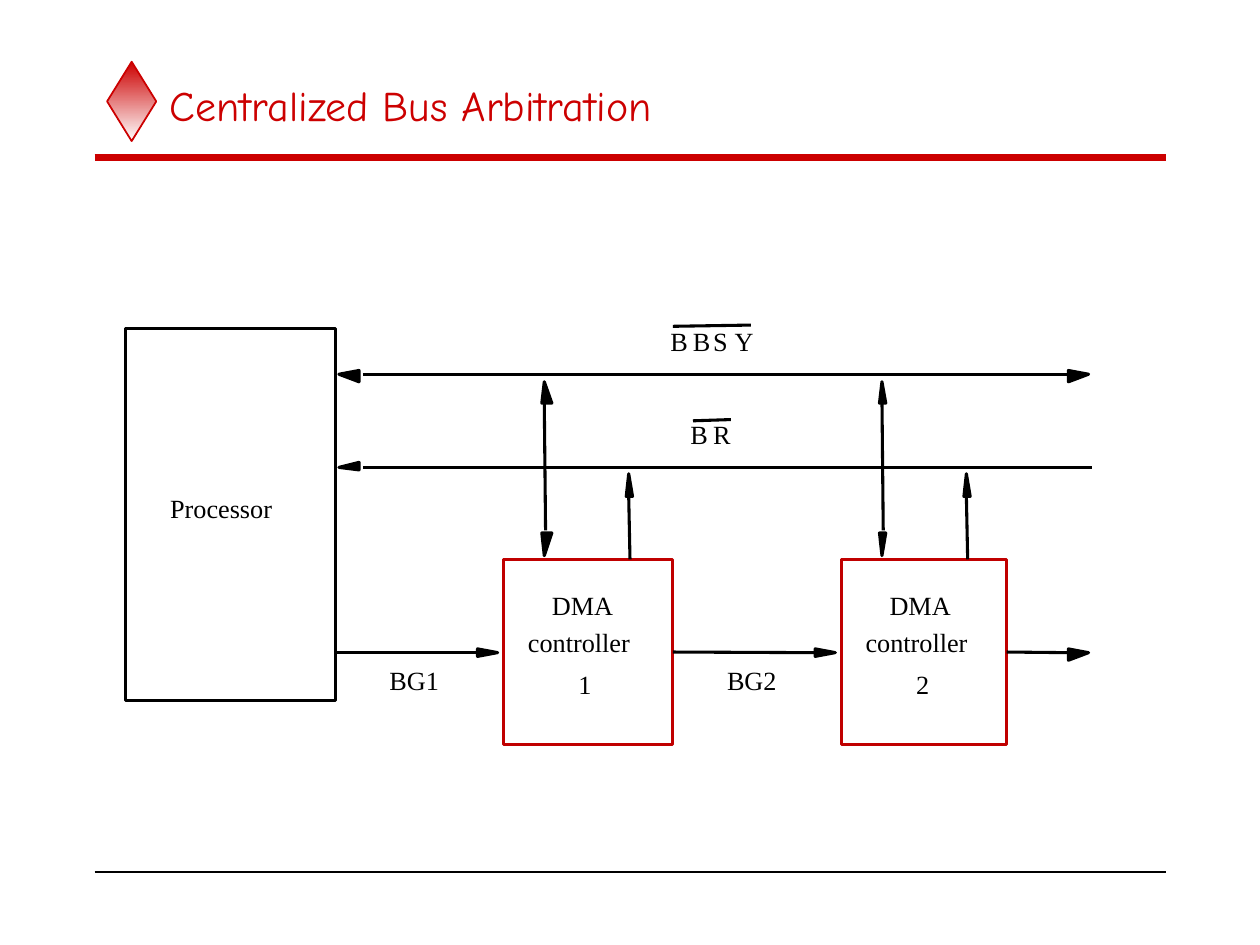
"""Build the slide on centralized bus arbitration between a processor and two DMA controllers."""
from typing import Any, NamedTuple

from lxml import etree
from pptx import Presentation
from pptx import util as u
from pptx.dml.color import RGBColor
from pptx.enum import shapes, text
from pptx.oxml.ns import qn

PX = 9144
BLACK = RGBColor(0x00, 0x00, 0x00)
WHITE = RGBColor(0xFF, 0xFF, 0xFF)
RED = RGBColor(0xCC, 0x00, 0x00)
DARK_RED = RGBColor(0xC0, 0x00, 0x00)
STROKE = 1.75
BODY_FONT = "Times New Roman"
TITLE_FONT = "Comic Neue"
CONTROLLER_STEP = 268


class Box(NamedTuple):
    left: int
    top: int
    width: int
    height: int


class Wire(NamedTuple):
    x1: int
    y1: int
    x2: int
    y2: int
    color: RGBColor = BLACK
    weight: float = STROKE


class Head(NamedTuple):
    side_a: tuple[int, int]
    tip: tuple[int, int]
    side_b: tuple[int, int]


class Label(NamedTuple):
    words: str
    box: Box


def emu(*lengths: int) -> list[int]:
    return [length * PX for length in lengths]


def apply(target: Any, values: dict[str, Any]) -> None:
    for name, value in values.items():
        setattr(target, name, value)


def stroke(line: Any, color: RGBColor, weight: float) -> None:
    line.color.rgb = color
    line.width = u.Pt(weight)


def draw_block(slide: Any, box: Box, color: RGBColor, weight: float = STROKE,
               kind: Any = shapes.MSO_SHAPE.RECTANGLE) -> Any:
    block = slide.shapes.add_shape(kind, *emu(*box))
    block.shadow.inherit = False
    block.fill.background()
    stroke(block.line, color, weight)
    return block


def draw_wire(slide: Any, wire: Wire, source: Any = None) -> None:
    link = slide.shapes.add_connector(
        shapes.MSO_CONNECTOR.STRAIGHT, *emu(wire.x1, wire.y1, wire.x2, wire.y2))
    if source is not None:
        link.begin_connect(source, 3)
    stroke(link.line, wire.color, wire.weight)
    etree.SubElement(link._element.spPr, qn("a:effectLst"))


def draw_head(slide: Any, head: Head) -> None:
    outline = slide.shapes.build_freeform(*head.side_a, scale=PX)
    outline.add_line_segments([head.tip, head.side_b], close=True)
    arrow = outline.convert_to_shape()
    arrow.shadow.inherit = False
    arrow.fill.solid()
    arrow.fill.fore_color.rgb = BLACK
    stroke(arrow.line, BLACK, STROKE)


def draw_text(slide: Any, label: Label, frame_format: dict[str, Any],
              font_format: dict[str, Any], color: RGBColor) -> None:
    frame = slide.shapes.add_textbox(*emu(*label.box)).text_frame
    apply(frame, frame_format)
    run = frame.paragraphs[0].add_run()
    run.text = label.words
    apply(run.font, font_format)
    run.font.color.rgb = color


def draw_label(slide: Any, label: Label) -> None:
    frame_format = {
        "margin_left": 0, "margin_top": 0, "margin_right": 0, "margin_bottom": 0,
        "word_wrap": False, "auto_size": text.MSO_AUTO_SIZE.SHAPE_TO_FIT_TEXT,
    }
    draw_text(slide, label, frame_format, {"name": BODY_FONT, "size": u.Pt(15)}, BLACK)


def draw_theme(slide: Any) -> None:
    diamond = draw_block(slide, Box(85, 49, 39, 63), RED, 1, shapes.MSO_SHAPE.DIAMOND)
    diamond.fill.gradient()
    diamond.fill.gradient_angle = 270
    for stop, color in zip(diamond.fill.gradient_stops, (RED, WHITE)):
        stop.color.rgb = color
    draw_wire(slide, Wire(75, 125, 925, 125, RED, 4))
    draw_wire(slide, Wire(75, 692, 925, 692, BLACK, 1))
    draw_text(slide, Label("Centralized Bus Arbitration", Box(125, 50, 800, 67)),
              {"word_wrap": True, "vertical_anchor": text.MSO_ANCHOR.MIDDLE},
              {"name": TITLE_FONT, "size": u.Pt(24)}, RED)


def draw_buses(slide: Any) -> None:
    for wire in (
        Wire(288, 297, 848, 297),
        Wire(288, 371, 867, 371),
        Wire(596, 258, 534, 259),
        Wire(580, 333, 550, 334),
    ):
        draw_wire(slide, wire)
    for head in (
        Head((285, 294), (269, 297), (285, 303)),
        Head((848, 303), (864, 297), (848, 294)),
        Head((285, 367), (269, 371), (285, 373)),
    ):
        draw_head(slide, head)
    for words, top, lefts in (("BBSY", 258, (532, 550, 566, 583)), ("BR", 332, (548, 566))):
        for letter, left in zip(words, lefts):
            draw_label(slide, Label(letter, Box(left, top, 16, 31)))


def draw_controller(slide: Any, number: int, width: int, busy_right: int) -> Any:
    dx = (number - 1) * CONTROLLER_STEP
    controller = draw_block(slide, Box(400 + dx, 444, width, 147), DARK_RED)
    busy, request = 432 + dx, 499 + dx
    draw_wire(slide, Wire(busy, 320, busy + 1, 421))
    draw_wire(slide, Wire(request, 394, request + 1, 444))
    for head in (
        Head((busy_right, 320), (busy, 303), (busy - 2, 320)),
        Head((busy - 2, 423), (busy, 441), (busy_right, 423)),
        Head((request + 3, 394), (request, 376), (request - 2, 394)),
    ):
        draw_head(slide, head)
    for label in (
        Label("DMA", Box(438 + dx, 468, 55, 31)),
        Label("controller", Box(419 + dx, 497, 92, 31)),
        Label(str(number), Box(459 + dx, 530, 12, 31)),
        Label(f"BG{number}", Box(309 + dx, 527, 45, 31)),
    ):
        draw_label(slide, label)
    draw_head(slide, Head((379 + dx, 521), (395 + dx, 518), (379 + dx, 515)))
    return controller


def main() -> None:
    deck = Presentation()
    deck.slide_width, deck.slide_height = emu(1000, 750)
    slide = deck.slides.add_slide(deck.slide_layouts[6])
    draw_theme(slide)
    draw_block(slide, Box(100, 261, 166, 295), BLACK)
    draw_label(slide, Label("Processor", Box(135, 391, 92, 31)))
    draw_buses(slide)
    first = draw_controller(slide, 1, 134, 438)
    second = draw_controller(slide, 2, 131, 703)
    draw_wire(slide, Wire(266, 518, 379, 518))
    draw_wire(slide, Wire(534, 518, 647, 518), first)
    draw_wire(slide, Wire(799, 518, 848, 518), second)
    draw_head(slide, Head((848, 524), (864, 518), (848, 515)))
    deck.save("out.pptx")


if __name__ == "__main__":
    main()
